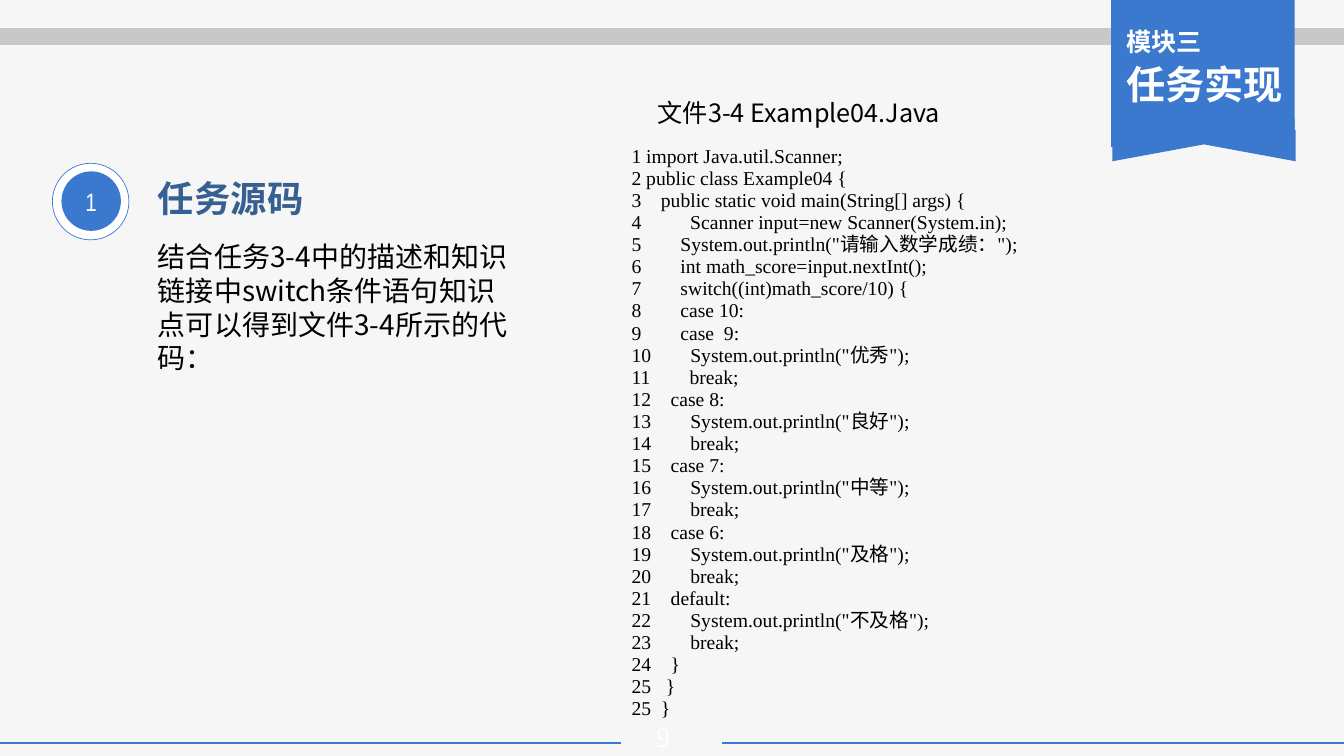
from itertools import groupby

from lxml import etree
from pptx import Presentation
from pptx.dml.color import RGBColor
from pptx.enum import shapes, text
from pptx.oxml import ns
from pptx.util import Inches, Pt

COLORS = {"background": "F6F6F6", "blue": "3B79CE", "gray": "C8C8C8",
          "heading": "376092", "white": "FFFFFF", "black": "000000"}
CJK_FONT = "Noto Sans CJK SC"
CODE_FONT = "Times New Roman"

SOURCE_CODE = '''1 import Java.util.Scanner;
2 public class Example04 {
3    public static void main(String[] args) {
4          Scanner input=new Scanner(System.in);
5        System.out.println("请输入数学成绩：");
6        int math_score=input.nextInt();
7        switch((int)math_score/10) {
8        case 10:
9        case  9:
10        System.out.println("优秀");
11        break;
12    case 8:
13        System.out.println("良好");
14        break;
15    case 7:
16        System.out.println("中等");
17        break;
18    case 6:
19        System.out.println("及格");
20        break;
21    default:
22        System.out.println("不及格");
23        break;
24    }
25   }
25  }'''


def color(name):
    return RGBColor.from_string(COLORS[name])


def is_chinese(character):
    return ord(character) > 0x2E80


class SlideBuilder:
    def __init__(self, slide):
        self.slide = slide
        slide.background.fill.solid()
        slide.background.fill.fore_color.rgb = color("background")

    def line(self, left, right, y, line_color, width):
        connector = self.slide.shapes.add_connector(
            shapes.MSO_CONNECTOR.STRAIGHT,
            Inches(left), Inches(y), Inches(right), Inches(y))
        connector.line.color.rgb = color(line_color)
        connector.line.width = Pt(width)
        properties = connector._element.spPr
        etree.SubElement(properties, ns.qn("a:effectLst"))

    def shape(self, kind, box, fill, outline=None, rotation=0, adjustment=None):
        shape = self.slide.shapes.add_shape(kind, *map(Inches, box))
        shape.shadow.inherit = False
        shape.fill.solid()
        shape.fill.fore_color.rgb = color(fill)
        if outline:
            shape.line.color.rgb = color(outline)
            shape.line.width = Pt(0.5)
        else:
            shape.line.fill.background()
        shape.rotation = rotation
        if adjustment is not None:
            shape.adjustments[0] = adjustment
        return shape

    def run(self, paragraph, words, size, text_color, font=CJK_FONT, bold=False):
        run = paragraph.add_run()
        run.text = words
        run.font.size = Pt(size)
        run.font.name = font
        run.font.bold = bold
        run.font.color.rgb = color(text_color)
        east_asian = etree.SubElement(run.font._element, ns.qn("a:ea"))
        east_asian.set("typeface", CJK_FONT)

    def text_frame(self, box):
        frame = self.slide.shapes.add_textbox(*map(Inches, box)).text_frame
        frame.word_wrap = True
        return frame

    def label(self, box, words, size, text_color, **style):
        paragraph = self.text_frame(box).paragraphs[0]
        self.run(paragraph, words, size, text_color, **style)
        return paragraph

    def code(self, box, source):
        """Adds a listing, with Chinese strings in their own font."""
        frame = self.text_frame(box)
        for index, code_line in enumerate(source.splitlines()):
            paragraph = frame.add_paragraph() if index else frame.paragraphs[0]
            paragraph.alignment = text.PP_ALIGN.JUSTIFY
            paragraph.line_spacing = Pt(15.8)
            paragraph._p.get_or_add_pPr().set("indent", str(Inches(0.29)))
            for chinese, characters in groupby(code_line, is_chinese):
                self.run(paragraph, "".join(characters), 14, "black",
                         font=CJK_FONT if chinese else CODE_FONT)


def main():
    presentation = Presentation()
    presentation.slide_width = Inches(13.34)
    presentation.slide_height = Inches(7.5)
    builder = SlideBuilder(
        presentation.slides.add_slide(presentation.slide_layouts[6]))
    kinds = shapes.MSO_SHAPE

    builder.line(7.17, 13.34, 7.37, "blue", 1.77)
    builder.line(0, 6.16, 7.37, "blue", 1.77)
    builder.line(0, 13.34, 0.36, "gray", 12)
    page_number = builder.label((6.16, 7.12, 0.86, 0.4), "9", 18, "white")
    page_number.alignment = text.PP_ALIGN.CENTER

    ribbon_parts = [
        (kinds.CHEVRON, (11.71, 0.45, 0.48, 1.82), 0.35),
        (kinds.CHEVRON, (11.66, 0.27, 0.56, 1.82), 0.5),
        (kinds.PENTAGON, (11.26, -0.23, 1.36, 1.82), 0),
    ]
    for kind, box, adjustment in ribbon_parts:
        builder.shape(kind, box, "blue", rotation=270, adjustment=adjustment)
    ribbon = builder.text_frame((11.08, 0.21, 1.87, 0.92))
    module, task = ribbon.paragraphs[0], ribbon.add_paragraph()
    for paragraph, words, size in ((module, "模块三", 18), (task, "任务实现", 28)):
        paragraph.space_after = Pt(3)
        builder.run(paragraph, words, size, "white", bold=True)

    builder.label((1.47, 1.7, 3.53, 0.47), "任务源码", 26, "heading",
                  font="Arial", bold=True)
    builder.label((1.47, 2.33, 3.7, 1.35),
                  "结合任务3-4中的描述和知识链接中switch条件语句知识点可以得到文件3-4所示的代码：",
                  20, "black")
    builder.shape(kinds.OVAL, (0.52, 1.62, 0.76, 0.76), "white", outline="blue")
    badge = builder.shape(kinds.OVAL, (0.61, 1.7, 0.59, 0.59), "blue")
    badge.text_frame.vertical_anchor = text.MSO_ANCHOR.MIDDLE
    number = badge.text_frame.paragraphs[0]
    number.alignment = text.PP_ALIGN.CENTER
    builder.run(number, "1", 18, "white", font="Arial Narrow")

    builder.label((6.43, 0.92, 3.77, 0.4), "文件3-4 Example04.Java", 18, "black")
    builder.code((5.88, 1.39, 5.56, 5.86), SOURCE_CODE)

    presentation.save("out.pptx")


if __name__ == "__main__":
    main()
